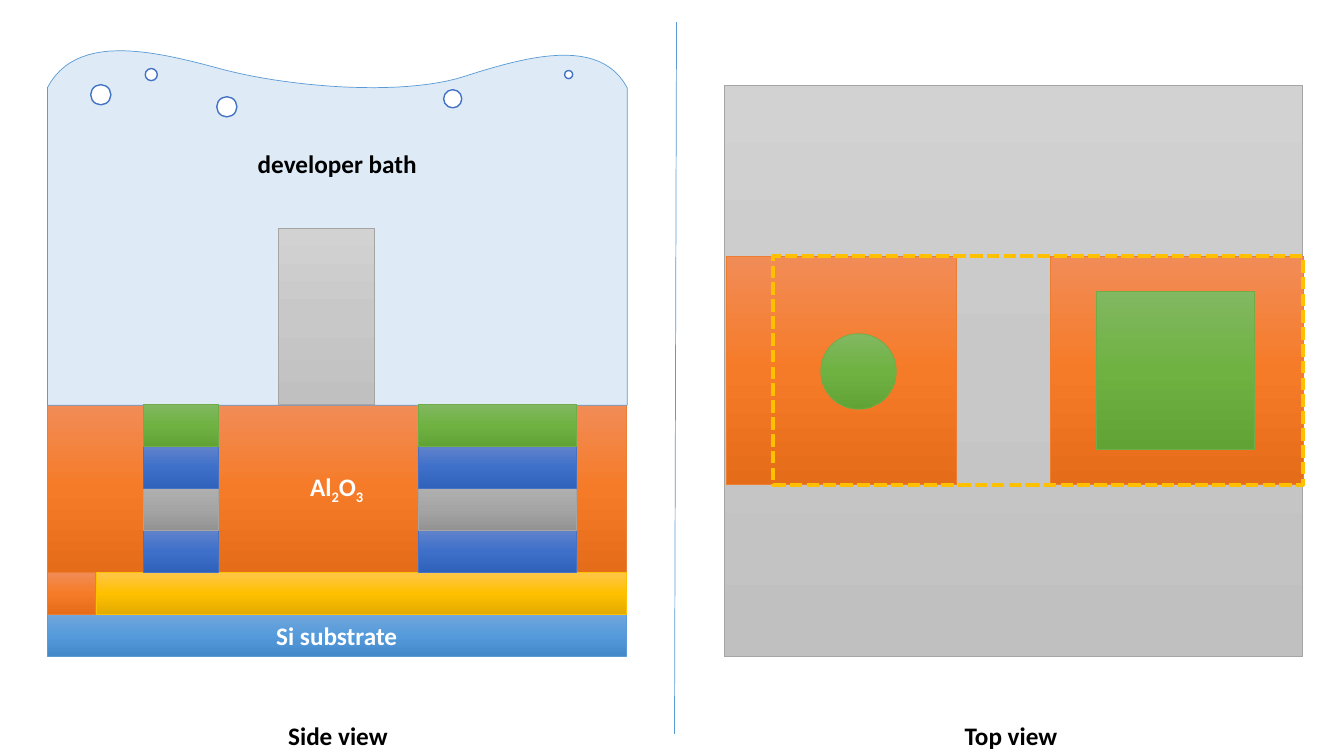
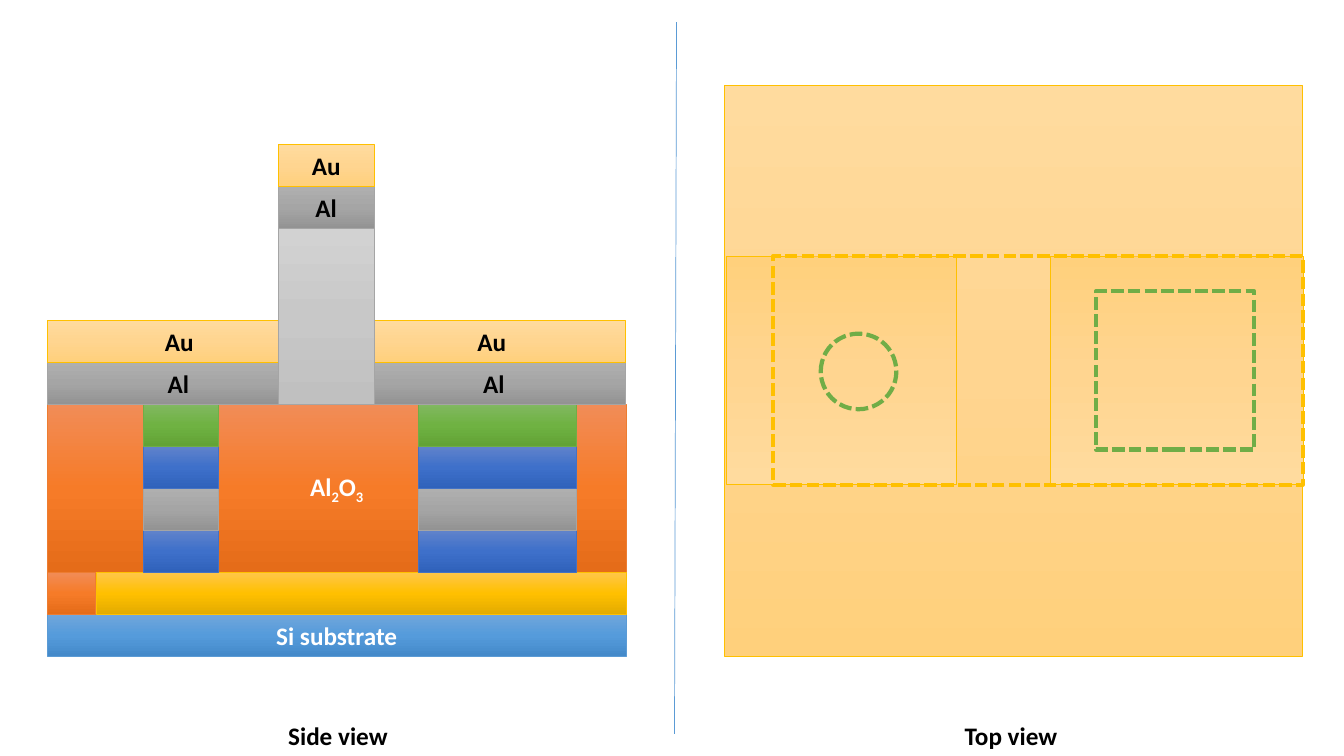
from copy import deepcopy
from itertools import groupby

from pptx import Presentation
from pptx.dml.color import RGBColor
from pptx.enum.dml import MSO_LINE
from pptx.enum.shapes import MSO_CONNECTOR, MSO_SHAPE
from pptx.enum.text import MSO_ANCHOR, PP_ALIGN
from pptx.oxml.ns import qn
from pptx.oxml.xmlchemy import OxmlElement
from pptx.util import Inches, Pt


class Theme:
    font, size = "Calibri", 18
    black, white = "000000", "FFFFFF"
    thin, rim, thick = 0.5, 1, 3
    # Each tone: fill colours from top to bottom, then line colour
    tones = {
        "sky": (("71A6DB", "559BDB", "448ACA"), "5B9BD5"),
        "silver": (("D2D2D2", "C8C8C8", "C0C0C0"), "A5A5A5"),
        "grey": (("AFAFAF", "A5A5A5", "939393"), "A5A5A5"),
        "orange": (("F18C57", "F67B28", "E56C19"), "ED7D31"),
        "gold": (("FFC64B", "FFC000", "E3AB00"), "FFC000"),
        "cream": (("FFDB9E", "FFD590", "FFD07C"), "FFC000"),
        "blue": (("6183CB", "3E70CA", "3062BB"), "4472C4"),
        "green": (("81B861", "6FB242", "62A336"), "70AD47"),
        "water": (("DEEBF7",), "5B9BD5"),
        "bubble": (("FFFFFF",), "4472C4"),
    }


# Content: one entry per process step
STEPS = [
    {"bath": "developer bath", "metal": [], "base": "silver", "wings": "orange"},
    {"bath": None, "metal": [("Al", "grey"), ("Au", "cream")],
     "base": "cream", "wings": "cream"},
]
CAPTIONS = [("Side view", 2.76, 1.19), ("Top view", 9.47, 1.13)]
STACK = ["green", "blue", "grey", "blue"]

# Side view, in inches
LEFT, WIDE, FACE, ROW = 0.47, 5.74, 4.01, 5 / 12
PILLARS = [(1.42, 0.75), (4.15, 1.57)]
POST = (2.76, 2.27, 0.95, 1.74)
METAL_TABS = {"Al": (1.20, 4.33), "Au": (1.21, 4.31)}
WAVE = [
    [(0.47, 0.87), (0.75, 0.34), (1.47, 0.49), (2.14, 0.67)],
    [(2.14, 0.67), (2.81, 0.86), (3.97, 0.96), (4.60, 0.76)],
    [(4.60, 0.76), (5.22, 0.56), (5.95, 0.36), (6.22, 0.87)],
]
BATH_END = 4.02
BUBBLES = [(0.9, 0.84, 0.2), (1.44, 0.68, 0.12), (2.15, 0.96, 0.2),
           (4.4, 0.89, 0.18), (5.6, 0.7, 0.08)]

# Top view, in inches
BASE = (7.18, 0.85, 5.74, 5.66)
BAND_TOP, BAND_TALL = 2.54, 2.27
WINGS = [(10.42, 2.51), (7.2, 2.29)]
FRAME = (7.67, 5.25)
PADS = [(MSO_SHAPE.OVAL, 8.14, 3.31, 0.75), (MSO_SHAPE.RECTANGLE, 10.87, 2.89, 1.57)]


def paint(shape, tone, width=Theme.thin, dash=False):
    """Fill and outline a shape; a dashed shape stays unfilled."""
    fills, edge = Theme.tones[tone]
    shape.shadow.inherit = False
    fill, line = shape.fill, shape.line
    if dash:
        fill.background()
        line.dash_style = MSO_LINE.SQUARE_DOT
    elif len(fills) == 1:
        fill.solid()
        fill.fore_color.rgb = RGBColor.from_string(fills[0])
    else:
        fill.gradient()
        fill.gradient_angle = 270
        stops = shape._element.spPr.find(qn("a:gradFill")).find(qn("a:gsLst"))
        stops.insert(1, deepcopy(stops[0]))
        for i, (stop, shade) in enumerate(zip(fill.gradient_stops, fills)):
            stop.position = i / (len(fills) - 1)
            stop.color.rgb = RGBColor.from_string(shade)
    line.color.rgb = RGBColor.from_string(edge)
    line.width = Pt(width)


def box(shapes, area, tone, kind=MSO_SHAPE.RECTANGLE, flip=False, **look):
    shape = shapes.add_shape(kind, *map(Inches, area))
    paint(shape, tone, **look)
    if flip:
        shape._element.spPr.xfrm.set("flipV", "1")
    return shape


def write(shape, text, color=Theme.black, align=PP_ALIGN.CENTER,
          anchor=MSO_ANCHOR.MIDDLE, wrap=True, top=0.05, tabs=()):
    """Write one bold line; digits become subscripts, tabs are centred."""
    frame = shape.text_frame
    frame.word_wrap, frame.vertical_anchor = wrap, anchor
    frame.margin_top = Inches(top)
    line = frame.paragraphs[0]
    line.alignment = align
    if tabs:
        stops = OxmlElement("a:tabLst")
        for place in tabs:
            stop = OxmlElement("a:tab")
            stop.set("pos", str(Inches(place)))
            stop.set("algn", "ctr")
            stops.append(stop)
        line._p.get_or_add_pPr().append(stops)
    for low, part in groupby(text, str.isdigit):
        run = line.add_run()
        run.text = "".join(part)
        font = run.font
        font.name, font.size, font.bold = Theme.font, Pt(Theme.size), True
        font.color.rgb = RGBColor.from_string(color)
        if low:
            run._r.get_or_add_rPr().set("baseline", "-25000")


def row(i):
    """Top of the layer i rows below the oxide surface."""
    return FACE + i * ROW


def curve(points, count=24):
    """Points along a cubic Bezier curve."""
    for i in range(count + 1):
        t = i / count
        parts = ((1 - t) ** 3, 3 * t * (1 - t) ** 2, 3 * t * t * (1 - t), t ** 3)
        yield tuple(Inches(sum(w * p[k] for w, p in zip(parts, points)))
                    for k in (0, 1))


def draw_bath(slide, label):
    group = slide.shapes.add_group_shape().shapes
    edge = [spot for part in WAVE for spot in curve(part)]
    edge += [(Inches(x), Inches(BATH_END)) for x in (WAVE[-1][-1][0], LEFT)]
    pen = group.build_freeform(*edge[0], scale=1.0)
    pen.add_line_segments(edge[1:], close=True)
    bath = pen.convert_to_shape()
    paint(bath, "water")
    write(bath, label, anchor=MSO_ANCHOR.TOP, top=0.97)
    for x, y, size in BUBBLES:
        box(group, (x, y, size, size), "bubble", MSO_SHAPE.OVAL, width=Theme.rim)


def draw_side(slide, step):
    shapes = slide.shapes
    base = box(shapes, (LEFT, row(5), WIDE, ROW), "sky")
    write(base, "Si substrate", color=Theme.white)
    oxide = box(shapes, (LEFT, FACE, WIDE, 4 * ROW), "orange")
    write(oxide, "Al2O3", color=Theme.white)
    box(shapes, (0.96, row(4), 5.25, ROW), "gold")
    box(shapes, (LEFT, row(4), 0.48, ROW), "orange")
    if step["bath"]:
        draw_bath(slide, step["bath"])
    for x, wide in PILLARS:
        group = shapes.add_group_shape().shapes
        for i, tone in reversed(list(enumerate(STACK))):
            box(group, (x, row(i), wide, ROW), tone)
    for i, (name, tone) in enumerate(step["metal"], 1):
        film = box(shapes, (LEFT, row(-i), 5.73, ROW), tone)
        write(film, f"\t{name}\t{name}", align=PP_ALIGN.LEFT, tabs=METAL_TABS[name])
    box(shapes, POST, "silver")
    x, top, wide, _ = POST
    for i, (name, tone) in enumerate(step["metal"], 1):
        write(box(shapes, (x, top - i * ROW, wide, ROW), tone), name)


def draw_top(slide, step):
    shapes, coated = slide.shapes, bool(step["metal"])
    box(shapes, BASE, step["base"])
    for x, wide in WINGS:
        box(shapes, (x, BAND_TOP, wide, BAND_TALL), step["wings"], flip=coated)
    x, wide = FRAME
    box(shapes, (x, BAND_TOP, wide, BAND_TALL), "gold", width=Theme.thick, dash=True)
    look = {"width": Theme.thick, "dash": True} if coated else {}
    for kind, x, y, size in PADS:
        box(shapes, (x, y, size, size), "green", kind, **look)


def draw_frame(slide):
    """Captions and the line between the two views."""
    for text, x, wide in CAPTIONS:
        note = slide.shapes.add_textbox(*map(Inches, (x, 7.1, wide, 0.4)))
        write(note, text, align=PP_ALIGN.LEFT, anchor=MSO_ANCHOR.TOP, wrap=False)
    line = slide.shapes.add_connector(
        MSO_CONNECTOR.STRAIGHT, *map(Inches, (6.71, 0.22, 6.69, 7.28)))
    line.line.color.rgb = RGBColor.from_string(Theme.tones["sky"][1])
    line.line.width = Pt(Theme.thin)
    line._element.spPr.append(OxmlElement("a:effectLst"))


def main():
    deck = Presentation()
    deck.slide_width, deck.slide_height = Inches(13.33), Inches(7.5)
    for step in STEPS:
        slide = deck.slides.add_slide(deck.slide_layouts[6])
        for draw in (draw_side, draw_top):
            draw(slide, step)
        draw_frame(slide)
    deck.save("out.pptx")


if __name__ == "__main__":
    main()
